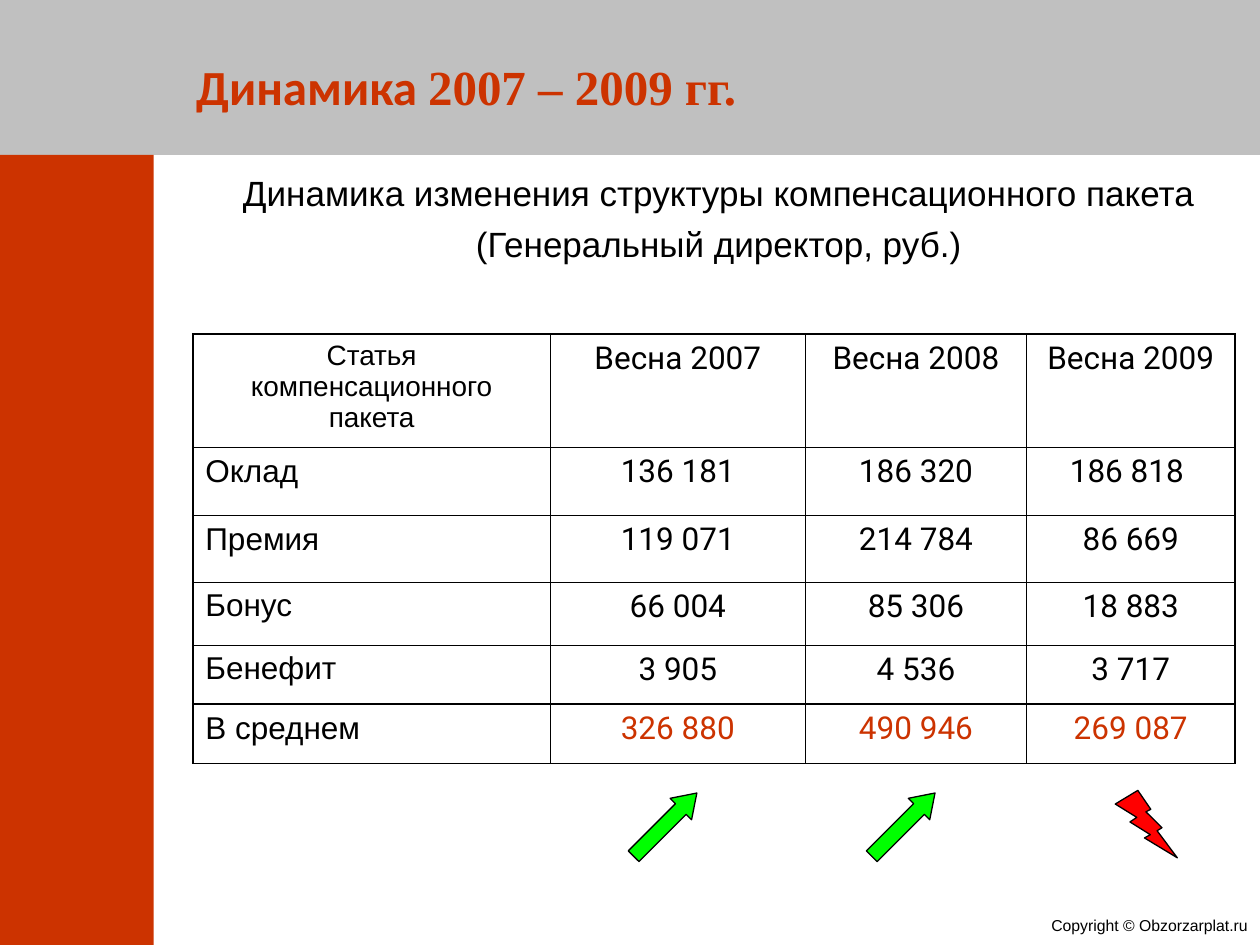
from dataclasses import dataclass

from lxml import etree
from pptx import Presentation
from pptx.dml.color import RGBColor
from pptx.enum.shapes import MSO_SHAPE
from pptx.enum.text import MSO_ANCHOR, PP_ALIGN
from pptx.oxml.ns import qn
from pptx.util import Inches, Pt

LEFT, CENTER, RIGHT = PP_ALIGN.LEFT, PP_ALIGN.CENTER, PP_ALIGN.RIGHT
TOP, MIDDLE = MSO_ANCHOR.TOP, MSO_ANCHOR.MIDDLE
RECTANGLE = MSO_SHAPE.RECTANGLE
UP_ARROW = MSO_SHAPE.UP_ARROW
BOLT = MSO_SHAPE.LIGHTNING_BOLT


@dataclass(frozen=True)
class Theme:
    accent: str = "CC3300"
    band: str = "C0C0C0"
    ink: str = "000000"
    growth: str = "00FF00"
    drop: str = "FF0000"
    text_font: str = "Arial"
    number_font: str = "Roboto"
    title_font: str = "Calibri"
    years_font: str = "Times New Roman"
    title_size: int = 28
    subtitle_size: int = 20
    table_size: int = 18
    corner_size: int = 16
    footer_size: int = 9
    thin: float = 0.45
    thick: float = 1.08
    outline: float = 0.75


THEME = Theme()

COLUMN_WIDTHS = [2.84, 2.02, 1.76, 1.65]
ROW_HEIGHTS = [0.9, 0.54, 0.53, 0.5, 0.47, 0.47]
ROWS = [
    ["Статья компенсационного пакета", "Весна 2007", "Весна 2008", "Весна 2009"],
    ["Оклад", "136 181", "186 320", "186 818 "],
    ["Премия", "119 071", "214 784", "86 669"],
    ["Бонус", "66 004", "85 306", "18 883"],
    ["Бенефит", "3 905", "4 536", "3 717"],
    ["В среднем", "326 880", "490 946", "269 087"],
]


def color(value):
    return RGBColor.from_string(value)


def style(paragraph, size, font=THEME.text_font, ink=THEME.ink, align=CENTER):
    paragraph.alignment = align
    paragraph.font.size = Pt(size)
    paragraph.font.name = font
    paragraph.font.color.rgb = color(ink)


def add_shape(slide, kind, box, fill, outlined=False, rotation=0):
    shape = slide.shapes.add_shape(kind, *map(Inches, box))
    shape.shadow.inherit = False
    shape.fill.solid()
    shape.fill.fore_color.rgb = color(fill)
    if outlined:
        shape.line.color.rgb = color(THEME.ink)
        shape.line.width = Pt(THEME.outline)
    else:
        shape.line.fill.background()
    shape.rotation = rotation
    return shape


def add_text_frame(slide, box, anchor):
    frame = slide.shapes.add_textbox(*map(Inches, box)).text_frame
    frame.word_wrap = True
    frame.vertical_anchor = anchor
    return frame


def add_title(slide, box):
    paragraph = add_text_frame(slide, box, MIDDLE).paragraphs[0]
    style(paragraph, THEME.title_size, THEME.title_font, THEME.accent)
    paragraph.font.bold = True
    paragraph.add_run().text = "Динамика "
    years = paragraph.add_run()
    years.text = "2007 – 2009 гг."
    years.font.name = THEME.years_font


def add_subtitle(slide, box):
    frame = add_text_frame(slide, box, TOP)
    frame.text = ("Динамика изменения структуры компенсационного пакета\n"
                  "(Генеральный директор, руб.)")
    for paragraph in frame.paragraphs:
        style(paragraph, THEME.subtitle_size)
    frame.paragraphs[1].space_before = Pt(5)


def add_footer(slide, box):
    frame = add_text_frame(slide, box, MIDDLE)
    frame.text = "Copyright © Obzorzarplat.ru"
    style(frame.paragraphs[0], THEME.footer_size, align=RIGHT)


def set_borders(cell, thick_sides):
    """Draw all four cell edges; the named sides get the thick line."""
    properties = cell._tc.get_or_add_tcPr()
    for position, side in enumerate("LRTB"):
        width = THEME.thick if side in thick_sides else THEME.thin
        line = etree.Element(qn(f"a:ln{side}"), w=str(Pt(width)))
        fill = etree.SubElement(line, qn("a:solidFill"))
        etree.SubElement(fill, qn("a:srgbClr"), val=THEME.ink)
        properties.insert(position, line)


def add_pay_table(slide, left, top):
    last_row, last_column = len(ROWS) - 1, len(COLUMN_WIDTHS) - 1
    table = slide.shapes.add_table(
        len(ROWS), len(COLUMN_WIDTHS), Inches(left), Inches(top),
        Inches(sum(COLUMN_WIDTHS)), Inches(sum(ROW_HEIGHTS))).table
    table.first_row = table.horz_banding = False
    for column, width in zip(table.columns, COLUMN_WIDTHS):
        column.width = Inches(width)
    for r, (row, height) in enumerate(zip(table.rows, ROW_HEIGHTS)):
        row.height = Inches(height)
        for c, cell in enumerate(row.cells):
            cell.text = ROWS[r][c]
            cell.fill.background()
            style(cell.text_frame.paragraphs[0],
                  THEME.corner_size if r == c == 0 else THEME.table_size,
                  THEME.number_font if c else THEME.text_font,
                  THEME.accent if c and r == last_row else THEME.ink,
                  LEFT if r and c == 0 else CENTER)
            # Outer frame and the totals row are thick
            thick = {"L": c == 0, "R": c == last_column,
                     "T": r in (0, last_row), "B": r >= last_row - 1}
            set_borders(cell, [side for side, on in thick.items() if on])


def add_trend_marks(slide, top):
    for left in (5.16, 7.05):
        arrow = add_shape(slide, UP_ARROW, (left, top, 0.24, 0.71),
                          THEME.growth, outlined=True, rotation=45)
        arrow.adjustments[0], arrow.adjustments[1] = 0.5, 0.75
    add_shape(slide, BOLT, (8.86, top + 0.08, 0.47, 0.55),
              THEME.drop, outlined=True, rotation=357.1)


def main():
    presentation = Presentation()
    presentation.slide_width, presentation.slide_height = Inches(10), Inches(7.5)
    slide = presentation.slides.add_slide(presentation.slide_layouts[6])

    # Header band and side bar
    add_shape(slide, RECTANGLE, (0, 0, 10, 1.23), THEME.band)
    add_shape(slide, RECTANGLE, (0, 1.23, 1.22, 6.27), THEME.accent)

    # Text
    add_footer(slide, (8.19, 7.19, 1.81, 0.31))
    add_title(slide, (1.22, 0.21, 4.96, 0.94))
    add_subtitle(slide, (1.69, 1.31, 8.03, 1.02))

    # Table with trend marks below it
    add_pay_table(slide, 1.53, 2.65)
    add_trend_marks(slide, 6.19)

    presentation.save("out.pptx")


if __name__ == "__main__":
    main()
